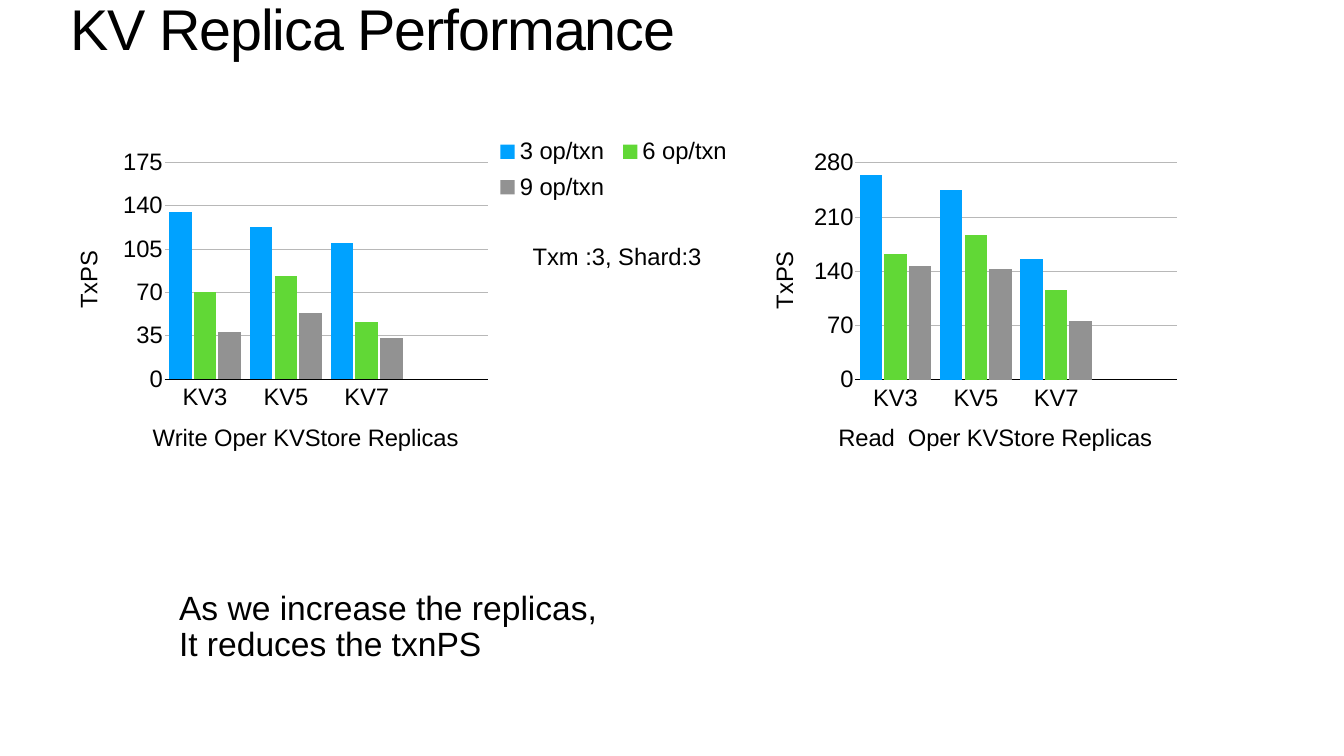
from lxml import etree
from pptx import Presentation
from pptx import util as u
from pptx.chart.data import CategoryChartData
from pptx.dml.color import RGBColor
from pptx.enum import chart as ch
from pptx.enum import text
from pptx.oxml.ns import qn

WIDTH, HEIGHT = 26.67, 15
FONT = "Arial"
LABEL_SIZE = 34
BLACK = RGBColor(0x00, 0x00, 0x00)
GRID = RGBColor(0xB8, 0xB8, 0xB8)
SERIES_COLOURS = (
    RGBColor(0x00, 0xA2, 0xFF),
    RGBColor(0x61, 0xD8, 0x36),
    RGBColor(0x92, 0x92, 0x92),
)
REPLICAS = ("KV3", "KV5", "KV7", "")

WRITE_TXPS = {
    "3 op/txn": (135, 123, 110),
    "6 op/txn": (70, 83, 46),
    "9 op/txn": (38, 53, 33),
}
READ_TXPS = {
    "Series 1": (264, 245, 156),
    "Series 2": (162, 187, 115),
    "Series 3": (147, 143, 75),
}


def box(left, top, width, height):
    """Turn shares of the slide's size into lengths."""
    return (u.Inches(left * WIDTH), u.Inches(top * HEIGHT),
            u.Inches(width * WIDTH), u.Inches(height * HEIGHT))


def style_font(font, size):
    font.name = FONT
    font.size = u.Pt(size)
    font.bold = False
    font.color.rgb = BLACK


def write(shape, wording, size, line_spacing):
    frame = shape.text_frame
    frame.text = wording
    frame.word_wrap = True
    frame.auto_size = text.MSO_AUTO_SIZE.NONE
    frame.vertical_anchor = text.MSO_ANCHOR.MIDDLE
    frame.margin_left = frame.margin_right = u.Inches(0.06)
    frame.margin_top = frame.margin_bottom = u.Inches(0.06)
    paragraph = frame.paragraphs[0]
    paragraph.alignment = text.PP_ALIGN.LEFT
    paragraph.line_spacing = line_spacing
    style_font(paragraph.runs[0].font, size)
    return paragraph.runs[0]


def add_title(slide, wording):
    title = slide.shapes.title
    title.left, title.top, title.width, title.height = box(0.05, -0.124, 0.9, 0.339)
    run = write(title, wording, 82, 0.8)
    run.font._element.set("spc", "-160")


def add_note(slide, wording, size, area):
    write(slide.shapes.add_textbox(*box(*area)), wording, size, 0.9)


def set_layout(parent, position, shares, inner=False):
    """Place a plot area or legend by shares of the chart's size."""
    for old in parent.findall(qn("c:layout")):
        parent.remove(old)
    layout = etree.Element(qn("c:layout"))
    manual = etree.SubElement(layout, qn("c:manualLayout"))
    settings = [("layoutTarget", "inner")] if inner else []
    settings += [("xMode", "edge"), ("yMode", "edge")]
    settings += zip("xywh", shares)
    for name, value in settings:
        etree.SubElement(manual, qn(f"c:{name}")).set("val", str(value))
    parent.insert(position, layout)


def style_axis(axis, wording):
    axis.has_title = True
    axis.axis_title.text_frame.text = wording
    style_font(axis.axis_title.text_frame.paragraphs[0].runs[0].font, LABEL_SIZE)
    style_font(axis.tick_labels.font, LABEL_SIZE)
    axis.major_tick_mark = axis.minor_tick_mark = ch.XL_TICK_MARK.NONE


def add_throughput_chart(slide, area, plot, caption, txps, step, steps):
    chart_data = CategoryChartData()
    chart_data.categories = REPLICAS
    for name, values in txps.items():
        chart_data.add_series(name, (*values, None))
    chart = slide.shapes.add_chart(
        ch.XL_CHART_TYPE.COLUMN_CLUSTERED, *box(*area), chart_data).chart
    style_font(chart.font, 10)
    chart.has_title = False
    chart.has_legend = False

    replicas, throughput = chart.category_axis, chart.value_axis
    style_axis(replicas, caption)
    replicas.tick_label_position = ch.XL_TICK_LABEL_POSITION.LOW
    replicas.format.line.color.rgb = BLACK
    replicas.format.line.width = u.Pt(1)
    style_axis(throughput, "TxPS")
    throughput.minimum_scale = 0
    throughput.maximum_scale = step * steps
    throughput.major_unit = step
    throughput.format.line.fill.background()
    throughput.major_gridlines.format.line.color.rgb = GRID
    throughput.major_gridlines.format.line.width = u.Pt(1)

    columns = chart.plots[0]
    columns.vary_by_categories = False
    columns.gap_width = 40
    columns.overlap = -10
    for series, colour in zip(columns.series, SERIES_COLOURS):
        series.format.fill.solid()
        series.format.fill.fore_color.rgb = colour
    set_layout(chart._chartSpace.chart.plotArea, 0, plot, inner=True)
    return chart


def add_legend(chart, shares):
    chart.has_legend = True
    legend = chart.legend
    legend.position = ch.XL_LEGEND_POSITION.RIGHT
    legend.include_in_layout = False
    style_font(legend.font, LABEL_SIZE)
    set_layout(legend._element, 1, shares)
    legend._element.find(qn("c:overlay")).set("val", "1")


def main():
    deck = Presentation()
    deck.slide_width, deck.slide_height = u.Inches(WIDTH), u.Inches(HEIGHT)
    slide = deck.slides.add_slide(deck.slide_layouts[5])

    add_title(slide, "KV Replica Performance")
    add_throughput_chart(
        slide, (0.563, 0.179, 0.314, 0.436), (0.234, 0.083, 0.761, 0.658),
        "Read  Oper KVStore Replicas", READ_TXPS, step=70, steps=4)
    add_note(slide, "Txm :3, Shard:3", LABEL_SIZE, (0.394, 0.319, 0.141, 0.043))
    write_chart = add_throughput_chart(
        slide, (0.049, 0.158, 0.5, 0.457), (0.147, 0.124, 0.481, 0.628),
        "Write Oper KVStore Replicas", WRITE_TXPS, step=35, steps=5)
    add_legend(write_chart, (0.63, 0.03, 0.37, 0.23))
    add_note(slide, "As we increase the replicas, It reduces the txnPS", 48,
             (0.131, 0.777, 0.322, 0.107))

    deck.save("out.pptx")


if __name__ == "__main__":
    main()
